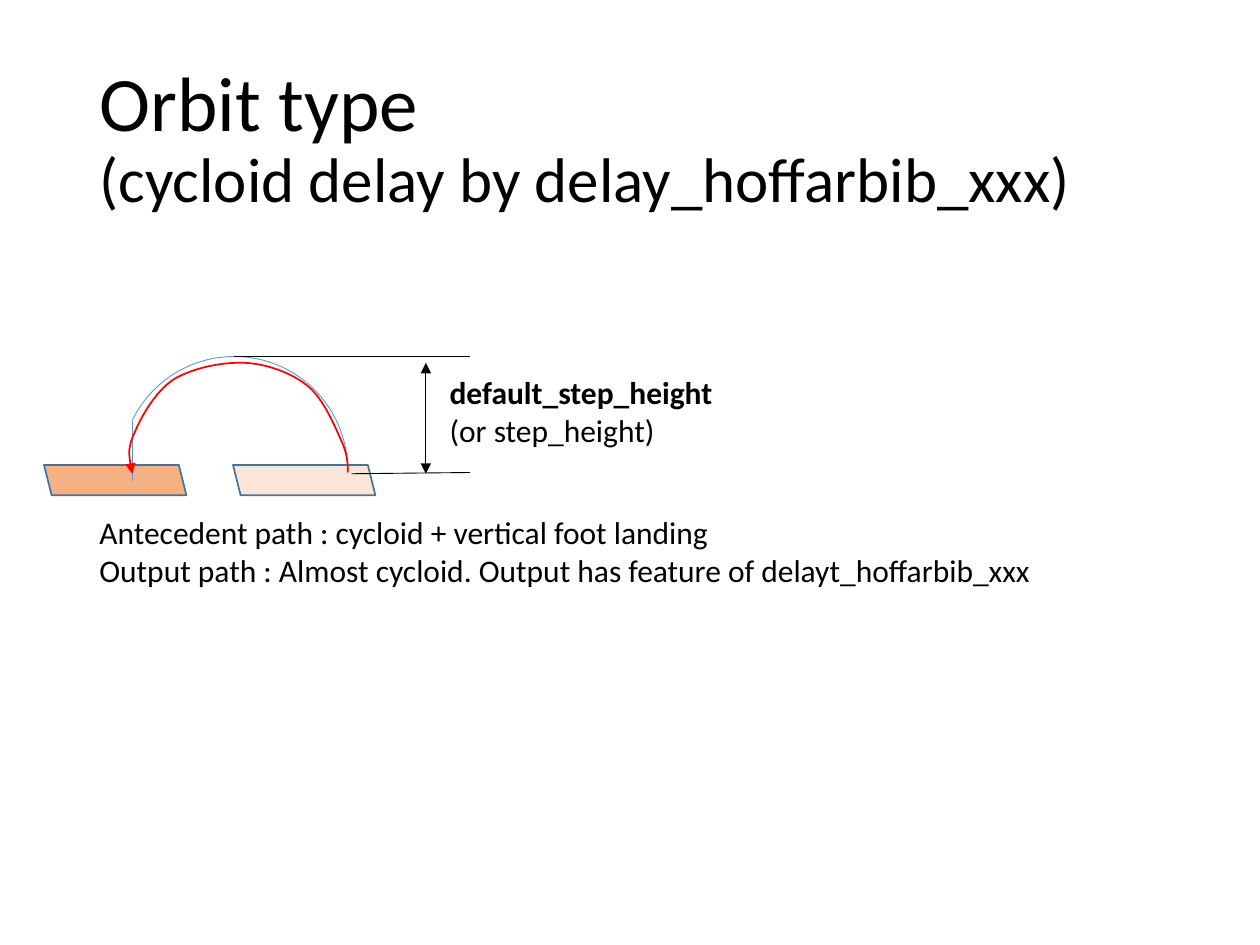
"""Build the orbit type slide with its foot path sketch."""
from lxml import etree
from pptx import Presentation
from pptx.dml.color import RGBColor
from pptx.enum.shapes import MSO_CONNECTOR, MSO_SHAPE
from pptx.enum.text import MSO_ANCHOR, MSO_AUTO_SIZE, PP_ALIGN
from pptx.oxml.ns import qn
from pptx.util import Inches, Pt

FONT = "Calibri"
COLORS = {"ink": "000000", "edge": "43739E", "now": "F4B183", "past": "FBE5D6",
          "cycloid": "5B9BD5", "output": "FF0000"}
TITLE = [("Orbit type", 44), ("(cycloid delay by delay_hoffarbib_xxx)", 36)]
NOTES = [
    ((0.69, 4.02, 7.68, 0.71),
     [("Antecedent path : cycloid + vertical foot landing", False),
      ("Output path : Almost cycloid. Output has feature of delayt_hoffarbib_xxx", False)]),
    ((3.47, 2.91, 2.3, 0.71),
     [("default_step_height", True), ("(or step_height)", False)]),
]
FEET = [(0.35, "now"), (1.85, "past")]
PATH = [(2.76, 3.75),
        (2.76, 3.68), (2.76, 3.61), (2.71, 3.5),
        (2.66, 3.39), (2.57, 3.17), (2.45, 3.07),
        (2.32, 2.96), (2.12, 2.89), (1.95, 2.88),
        (1.77, 2.87), (1.53, 2.92), (1.38, 3.01),
        (1.23, 3.11), (1.12, 3.31), (1.07, 3.43),
        (1.01, 3.56), (1.03, 3.66), (1.05, 3.76)]
RULES = [((3.73, 2.83), (1.86, 2.83), ()),
         ((3.73, 3.75), (2.79, 3.76), ()),
         ((3.38, 2.88), (3.38, 3.76), ("headEnd", "tailEnd"))]


def tint(name):
    return RGBColor.from_string(COLORS[name])


def style(run, size, bold=False):
    run.font.name = FONT
    run.font.size = Pt(size)
    run.font.bold = bold
    run.font.color.rgb = tint("ink")


def stroke(item, color, width, ends=()):
    item.line.color.rgb = tint(color)
    item.line.width = Pt(width)
    for end in ends:
        etree.SubElement(item.line._get_or_add_ln(), qn("a:" + end), type="triangle")


def shape(home, kind, box, color, width, fill=None):
    item = home.add_shape(kind, *map(Inches, box))
    item.shadow.inherit = False
    if fill:
        item.fill.solid()
        item.fill.fore_color.rgb = tint(fill)
    else:
        item.fill.background()
    stroke(item, color, width)
    return item


def line(home, start, stop, color, ends=()):
    item = home.add_connector(MSO_CONNECTOR.STRAIGHT, *map(Inches, start + stop))
    stroke(item, color, 0.5, ends)
    etree.SubElement(item._element.spPr, qn("a:effectLst"))


def curve(home, points, color):
    dots = [(Inches(x), Inches(y)) for x, y in points]
    pen = home.build_freeform(*dots[0])
    pen.add_line_segments(dots[1:], close=False)
    item = pen.convert_to_shape()
    item.shadow.inherit = False
    item.fill.background()
    stroke(item, color, 1, ("tailEnd",))
    steps = list(item._element.iter(qn("a:lnTo")))
    track = steps[0].getparent()
    for i in range(0, len(steps), 3):
        bend = etree.SubElement(track, qn("a:cubicBezTo"))
        for step in steps[i:i + 3]:
            bend.append(step[0])
            track.remove(step)


def note(home, box, rows):
    frame = home.add_textbox(*map(Inches, box)).text_frame
    frame.word_wrap = False
    frame.auto_size = MSO_AUTO_SIZE.SHAPE_TO_FIT_TEXT
    frame.text = "\n".join(text for text, bold in rows)
    for para, (text, bold) in zip(frame.paragraphs, rows):
        style(para.runs[0], 18, bold)


deck = Presentation()
deck.slide_width, deck.slide_height = Inches(10), Inches(7.5)
slide = deck.slides.add_slide(deck.slide_layouts[5])
parts = slide.shapes

title = parts.title
title.left, title.top, title.width, title.height = map(Inches, (0.69, 0.39, 8.62, 1.45))
frame = title.text_frame
frame.text = "\v".join(text for text, size in TITLE)
frame.vertical_anchor = MSO_ANCHOR.MIDDLE
frame.auto_size = MSO_AUTO_SIZE.NONE
head = frame.paragraphs[0]
head.alignment = PP_ALIGN.LEFT
head.line_spacing = 0.9
for run, (text, size) in zip(head.runs, TITLE):
    style(run, size)

note(parts, *NOTES[0])
for left, fill in FEET:
    foot = shape(parts, MSO_SHAPE.PARALLELOGRAM, (left, 3.69, 1.13, 0.24), "edge", 1, fill)
    foot._element.spPr.xfrm.set("flipH", "1")

group = parts.add_group_shape().shapes
arc = shape(group, MSO_SHAPE.ARC, (0.96, 2.83, 1.8, 1.8), "cycloid", 0.5)
arc.adjustments[0] = 123.45
arc.adjustments[1] = 0
line(group, (1.05, 3.34), (1.05, 3.82), "cycloid")

curve(parts, PATH, "output")
for start, stop, ends in RULES:
    line(parts, start, stop, "ink", ends)
note(parts, *NOTES[1])

deck.save("out.pptx")
